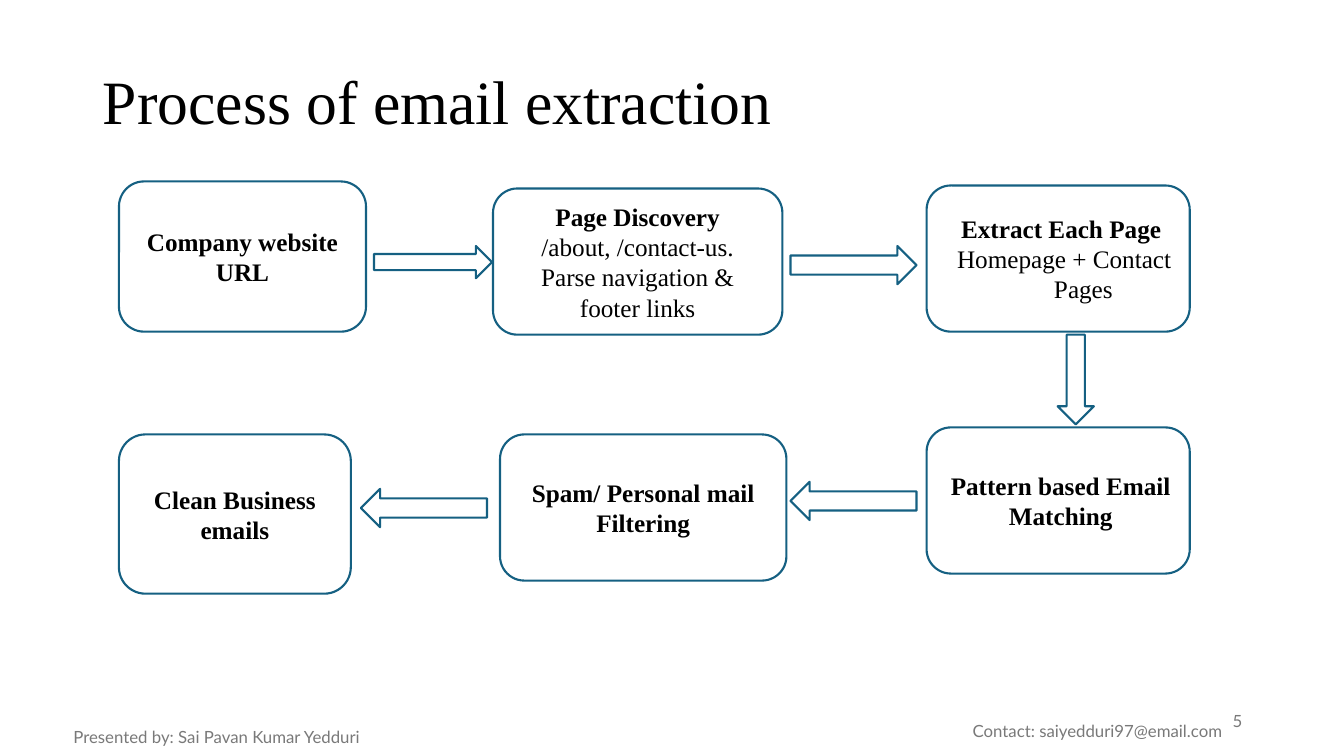
import pptx
import pptx.util
import pptx.dml.color
import pptx.enum.shapes
import pptx.enum.text

Inches = pptx.util.Inches
Pt = pptx.util.Pt
RGBColor = pptx.dml.color.RGBColor
MSO_SHAPE = pptx.enum.shapes.MSO_SHAPE
PP_ALIGN = pptx.enum.text.PP_ALIGN
MSO_ANCHOR = pptx.enum.text.MSO_ANCHOR
MSO_AUTO_SIZE = pptx.enum.text.MSO_AUTO_SIZE

BLACK = RGBColor(0x00, 0x00, 0x00)
WHITE = RGBColor(0xFF, 0xFF, 0xFF)
TEAL = RGBColor(0x15, 0x60, 0x82)
GRAY = RGBColor(0x79, 0x79, 0x79)

TITLE_FORMAT = {"name": "Times New Roman", "size": Pt(44), "bold": False}
HEADING_FORMAT = {"name": "Times New Roman", "size": Pt(18), "bold": True}
DETAIL_FORMAT = {**HEADING_FORMAT, "bold": False}
FOOTER_FORMAT = {"name": "Lato", "size": Pt(12), "bold": False}
FRAME_FORMAT = {
    "word_wrap": True,
    "auto_size": MSO_AUTO_SIZE.NONE,
    "vertical_anchor": MSO_ANCHOR.MIDDLE,
}

STEPS = [
    ((0, 0, 2.45, 1.49), [("Company website URL", HEADING_FORMAT, 0)]),
    ((3.71, 0.07, 2.87, 1.45), [
        ("Page Discovery", HEADING_FORMAT, 0),
        ("/about, /contact-us.", DETAIL_FORMAT, 0),
        ("Parse navigation & footer links", DETAIL_FORMAT, 0),
    ]),
    ((8.01, 0.04, 2.61, 1.45), [
        ("Extract Each Page", HEADING_FORMAT, 0.06),
        ("Homepage + Contact", DETAIL_FORMAT, 0.12),
        ("Pages", DETAIL_FORMAT, 0.5),
    ]),
    ((8.01, 2.44, 2.61, 1.45), [("Pattern based Email Matching", HEADING_FORMAT, 0.05)]),
    ((3.78, 2.51, 2.84, 1.45), [
        ("Spam/ Personal mail", HEADING_FORMAT, 0),
        ("Filtering", HEADING_FORMAT, 0),
    ]),
    ((0, 2.51, 2.3, 1.58), [("Clean Business emails", HEADING_FORMAT, 0)]),
]

ARROWS = [
    (MSO_SHAPE.RIGHT_ARROW, (2.53, 0.64, 1.17, 0.32)),
    (MSO_SHAPE.RIGHT_ARROW, (6.66, 0.64, 1.25, 0.38)),
    (MSO_SHAPE.DOWN_ARROW, (9.31, 1.52, 0.36, 0.89)),
    (MSO_SHAPE.LEFT_ARROW, (6.66, 2.98, 1.25, 0.38)),
    (MSO_SHAPE.LEFT_ARROW, (2.4, 3.05, 1.25, 0.38)),
]

FOOTERS = [
    ((0, 0.16, 4.5, 0.4), "Presented by: Sai Pavan Kumar Yedduri", PP_ALIGN.CENTER),
    ((8.54, 0.05, 4.89, 0.5), "Contact: saiyedduri97@email.com", PP_ALIGN.CENTER),
    ((9.52, 0, 3, 0.4), "5", PP_ALIGN.RIGHT),
]


def apply_format(target, values):
    for name, value in values.items():
        setattr(target, name, value)


def place(box, part):
    left, top = box[:2]
    x, y, width, height = part
    return [Inches(value) for value in (left + x, top + y, width, height)]


def write_lines(shape, lines, color, alignment):
    frame = shape.text_frame
    apply_format(frame, FRAME_FORMAT)
    for index, (text, text_format, indent) in enumerate(lines):
        paragraph = frame.add_paragraph() if index else frame.paragraphs[0]
        paragraph.alignment = alignment
        if indent:
            paragraph._p.get_or_add_pPr().set("marL", str(Inches(indent)))
        run = paragraph.add_run()
        run.text = text
        apply_format(run.font, text_format)
        run.font.color.rgb = color


def add_outlined_shape(slide, kind, position):
    shape = slide.shapes.add_shape(kind, *position)
    shape.shadow.inherit = False
    shape.fill.solid()
    shape.fill.fore_color.rgb = WHITE
    shape.line.color.rgb = TEAL
    shape.line.width = Pt(1.5)
    return shape


def add_title(slide, box):
    title = slide.shapes.title
    position = [Inches(value) for value in box]
    apply_format(title, dict(zip(("left", "top", "width", "height"), position)))
    write_lines(title, [("Process of email extraction", TITLE_FORMAT, 0)], BLACK, PP_ALIGN.LEFT)
    title.text_frame.paragraphs[0].line_spacing = 0.9


def add_process(slide, box):
    for part, lines in STEPS:
        step = add_outlined_shape(slide, MSO_SHAPE.ROUNDED_RECTANGLE, place(box, part))
        write_lines(step, lines, BLACK, PP_ALIGN.CENTER)
    for kind, part in ARROWS:
        add_outlined_shape(slide, kind, place(box, part))


def add_footer(slide, box):
    for part, text, alignment in FOOTERS:
        footer = slide.shapes.add_textbox(*place(box, part))
        write_lines(footer, [(text, FOOTER_FORMAT, 0)], GRAY, alignment)


def main():
    presentation = pptx.Presentation()
    presentation.slide_width = Inches(13.33)
    presentation.slide_height = Inches(7.5)
    slide = presentation.slides.add_slide(presentation.slide_layouts[5])
    add_title(slide, (0.92, 0.4, 11.5, 1.27))
    add_process(slide, (1.18, 1.8, 10.62, 4.09))
    add_footer(slide, (-0.1, 6.95, 13.43, 0.56))
    presentation.save("out.pptx")


if __name__ == "__main__":
    main()
